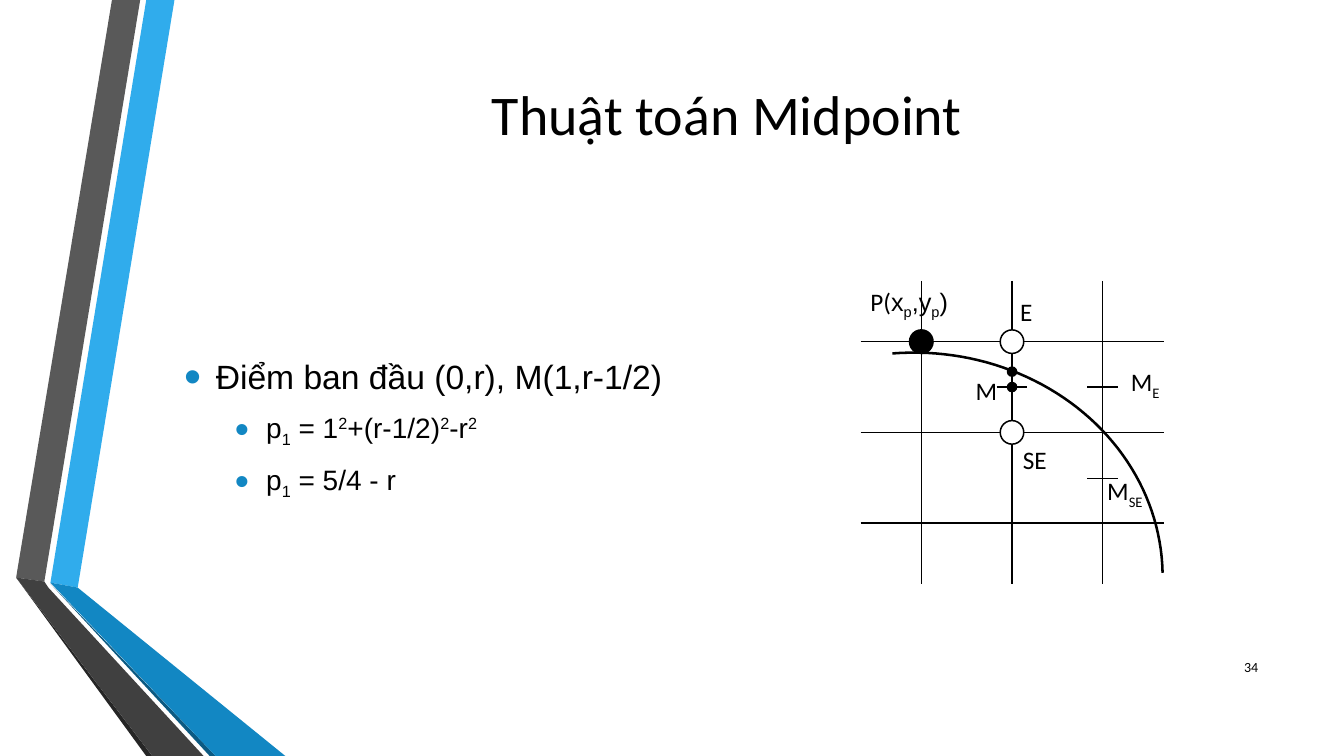
from dataclasses import dataclass
from math import cos, radians, sin

from lxml.etree import SubElement
from pptx import Presentation
from pptx.dml.color import RGBColor
from pptx.enum.shapes import MSO_CONNECTOR, MSO_SHAPE
from pptx.enum.text import MSO_ANCHOR, MSO_AUTO_SIZE, PP_ALIGN
from pptx.oxml.ns import qn
from pptx.util import Emu, Inches, Pt

BLACK, WHITE, BLUE = "000000", "FFFFFF", "1287C3"
SUB, SUP = -25, 30
WIDTH, HEIGHT = Inches(13.33), Inches(7.5)
Point = tuple[float, float]


@dataclass
class Bit:
    text: str
    base: int = 0
    face: str = ""


@dataclass
class Band:
    fill: str
    points: list[Point]


@dataclass
class Line:
    start: Point
    end: Point


@dataclass
class Dot:
    x: float
    y: float
    size: float
    fill: str


@dataclass
class Label:
    x: float
    y: float
    width: float
    bits: list[Bit]


@dataclass
class Item:
    level: int
    bits: list[Bit]


# Corners in percent of the slide's width and height
BANDS = [
    Band("30ACEC", [(3.75, 77.07), (5.78, 77.73), (12.98, 0), (10.88, 0)]),
    Band("595959", [(10.43, 0), (8.33, 0), (1.2, 76.4), (3.3, 76.93)]),
    Band("262626", [(1.2, 76.4), (10.88, 100), (11.33, 100)]),
    Band("0C5A82", [(3.75, 77.2), (15.6, 100), (16.05, 100)]),
    Band(BLUE, [(3.75, 77.07), (16.05, 100), (21.23, 100), (5.78, 77.73)]),
    Band("404040", [(15.15, 100), (3.6, 77.73), (3.3, 76.93), (1.2, 76.4),
                    (11.33, 100)]),
]

# Pixel grid: column 0, row 0 is point P
LOW, HIGH, TICK = -0.67, 2.67, 0.17
GRID = [Line((LOW, n), (HIGH, n)) for n in range(3)]
GRID += [Line((n, LOW), (n, HIGH)) for n in range(3)]
TICKS = [Line((x - TICK, y), (x + TICK, y))
         for x, y in [(1, 0.5), (2, 0.5), (2, 1.51)]]
RINGS = [Dot(0, 0, 0.26, BLACK), Dot(1, 0, 0.26, WHITE), Dot(1, 1, 0.26, WHITE)]
SPOTS = [Dot(1, 0.5, 0.1, BLACK), Dot(1, 0.33, 0.1, BLACK)]
ARC = [(-0.08 + 2.74 * sin(radians(a)), 2.59 - 2.47 * cos(radians(a)))
       for a in range(-5, 90, 2)]
LABELS = [
    Label(-0.67, -0.67, 1.12, [
        Bit("P("), Bit("x", 0, "Arial"), Bit("p", SUB, "Arial"),
        Bit(",y", 0, "Arial"), Bit("p", SUB, "Arial"), Bit(")", 0, "Arial")]),
    Label(0.98, -0.56, 0.38, [Bit("E")]),
    Label(1.01, 1.08, 0.53, [Bit("SE")]),
    Label(0.49, 0.32, 0.46, [Bit("M")]),
    Label(2.2, 0.22, 0.56, [Bit("M"), Bit("E", SUB)]),
    Label(1.94, 1.42, 0.66, [Bit("M"), Bit("SE", SUB)]),
]
ITEMS = [
    Item(0, [Bit("Điểm ban đầu (0,r), M(1,r-1/2)")]),
    Item(1, [Bit("p"), Bit("1", SUB), Bit(" = 1"), Bit("2", SUP),
             Bit("+(r-1/2)"), Bit("2", SUP), Bit("-r"), Bit("2", SUP)]),
    Item(1, [Bit("p"), Bit("1", SUB), Bit(" = 5/4 - r")]),
]


def wide(share: float) -> Emu:
    return Emu(round(WIDTH * share / 100))


def high(share: float) -> Emu:
    return Emu(round(HEIGHT * share / 100))


def col(x: float) -> Emu:
    return wide(68.55 + 6.75 * x)


def row(y: float) -> Emu:
    return high(45.2 + 12 * y)


def hue(code: str) -> RGBColor:
    return RGBColor.from_string(code)


def place(shape, x: float, y: float, width: float, height: float) -> None:
    """Set a box in percent of the slide's size."""
    shape.left, shape.top = wide(x), high(y)
    shape.width, shape.height = wide(width), high(height)


def write(para, bits: list[Bit], face: str, size: float) -> None:
    font = para.font
    font.name, font.size, font.color.rgb = face, Pt(size), hue(BLACK)
    for bit in bits:
        run = para.add_run()
        run.text = bit.text
        if bit.face:
            run.font.name = bit.face
        if bit.base:
            run._r.get_or_add_rPr().set("baseline", str(bit.base * 1000))


def outline(shapes, points: list[Point], closed: bool):
    """Build a flat shape through points given in EMU."""
    pen = shapes.build_freeform(*points[0])
    pen.add_line_segments(points[1:], close=closed)
    shape = pen.convert_to_shape()
    shape.shadow.inherit = False
    return shape


def add_band(shapes, band: Band) -> None:
    shape = outline(shapes, [(wide(x), high(y)) for x, y in band.points], True)
    shape.fill.solid()
    shape.fill.fore_color.rgb = hue(band.fill)
    shape.line.fill.background()


def add_line(shapes, line: Line) -> None:
    (x1, y1), (x2, y2) = line.start, line.end
    link = shapes.add_connector(MSO_CONNECTOR.STRAIGHT,
                                col(x1), row(y1), col(x2), row(y2))
    link.line.color.rgb, link.line.width = hue(BLACK), Pt(1.08)
    SubElement(link._element.spPr, qn("a:effectLst"))


def add_dot(shapes, dot: Dot) -> None:
    half = dot.size / 2
    left, top = col(dot.x - half), row(dot.y - half)
    shape = shapes.add_shape(MSO_SHAPE.OVAL, left, top,
                             col(dot.x + half) - left, row(dot.y + half) - top)
    shape.shadow.inherit = False
    shape.fill.solid()
    shape.fill.fore_color.rgb = hue(dot.fill)
    shape.line.color.rgb, shape.line.width = hue(BLACK), Pt(1.08)


def add_arc(shapes) -> None:
    shape = outline(shapes, [(col(x), row(y)) for x, y in ARC], False)
    shape.fill.background()
    shape.line.color.rgb, shape.line.width = hue(BLACK), Pt(1.8)


def add_label(shapes, label: Label) -> None:
    box = shapes.add_textbox(col(label.x), row(label.y),
                             wide(6.75 * label.width), high(5.33))
    box.text_frame.word_wrap = False
    box.text_frame.auto_size = MSO_AUTO_SIZE.SHAPE_TO_FIT_TEXT
    write(box.text_frame.paragraphs[0], label.bits, "Calibri", 18)


def add_item(para, item: Item, first: bool) -> None:
    para.level = item.level
    para.space_before, para.space_after = Pt(0 if first else 4), Pt(6)
    props = para._p.get_or_add_pPr()
    props.set("marL", str(Inches(0.31 + 0.5 * item.level)))
    props.set("indent", str(Inches(-0.31)))
    SubElement(SubElement(props, qn("a:buClr")), qn("a:srgbClr"), val=BLUE)
    SubElement(props, qn("a:buSzPct"), val="145000")
    SubElement(props, qn("a:buFont"), typeface="Arial")
    SubElement(props, qn("a:buChar"), char="•")
    write(para, item.bits, "Arial", 20 if item.level else 24)


def main() -> None:
    deck = Presentation()
    deck.slide_width, deck.slide_height = WIDTH, HEIGHT
    slide = deck.slides.add_slide(deck.slide_layouts[1])
    shapes = slide.shapes
    for band in BANDS:
        add_band(shapes, band)

    title, body = shapes.title, slide.placeholders[1]
    number = shapes.add_textbox(0, 0, 0, 0)
    place(title, 12.98, 2.13, 82.2, 25.6)
    place(body, 12.98, 36.93, 50.93, 39.47)
    place(number, 89.85, 85.6, 4.5, 5.33)
    for box in (title, body, number):
        frame = box.text_frame
        frame.word_wrap, frame.auto_size = True, MSO_AUTO_SIZE.NONE
        frame.vertical_anchor = MSO_ANCHOR.MIDDLE
    for box, text, size, align in [
            (title, "Thuật toán Midpoint", 40, PP_ALIGN.CENTER),
            (number, "34", 10, PP_ALIGN.RIGHT)]:
        para = box.text_frame.paragraphs[0]
        para.alignment = align
        write(para, [Bit(text)], "Calibri", size)
    frame = body.text_frame
    for n, item in enumerate(ITEMS):
        para = frame.add_paragraph() if n else frame.paragraphs[0]
        add_item(para, item, n == 0)

    for line in GRID + TICKS:
        add_line(shapes, line)
    for ring in RINGS:
        add_dot(shapes, ring)
    add_arc(shapes)
    for spot in SPOTS:
        add_dot(shapes, spot)
    for label in LABELS:
        add_label(shapes, label)
    deck.save("out.pptx")


if __name__ == "__main__":
    main()
